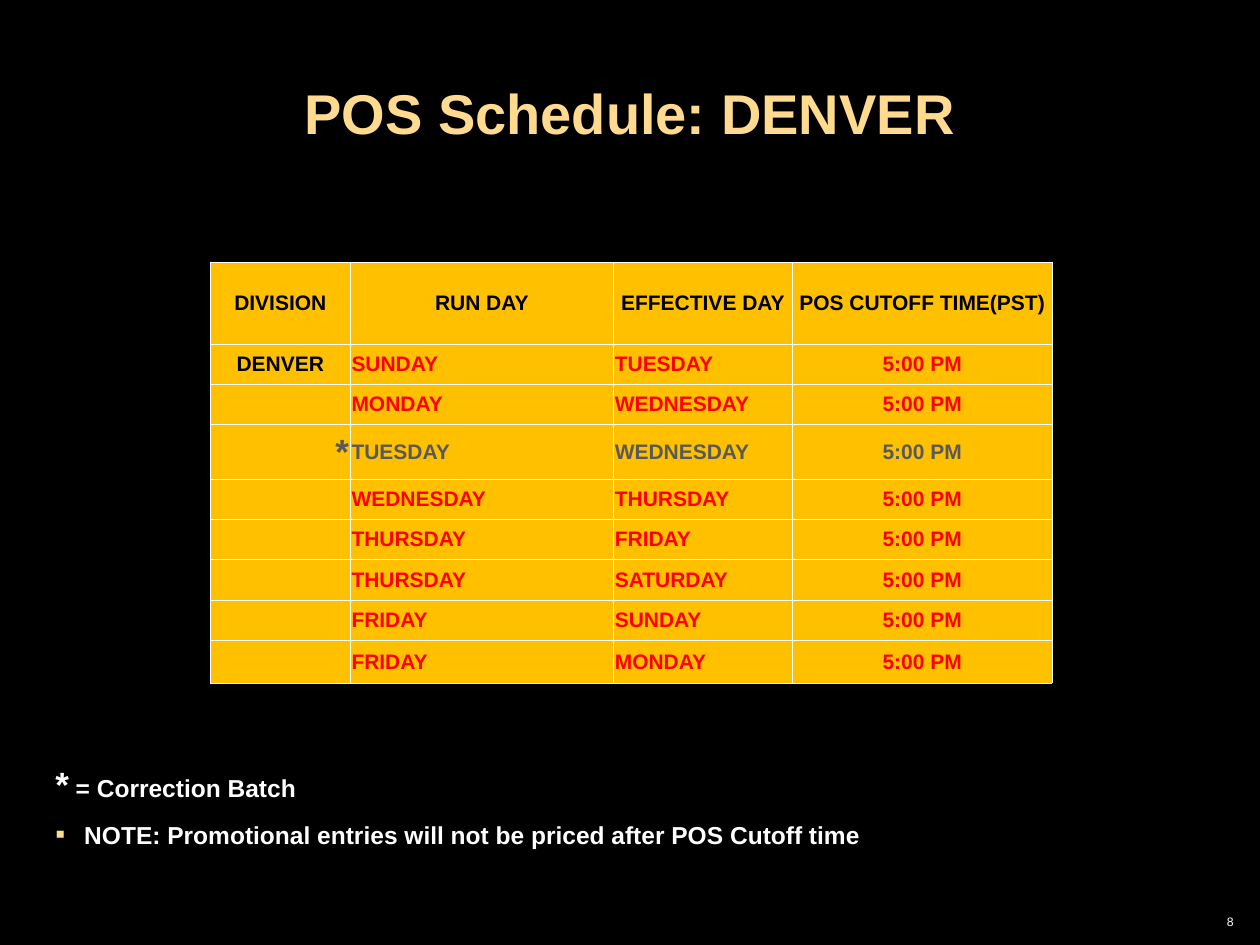
from pptx import Presentation
from pptx.dml.color import RGBColor
from pptx.enum.text import MSO_ANCHOR, PP_ALIGN
from pptx.oxml.ns import qn
from pptx.util import Inches, Pt
from lxml.etree import SubElement

COLORS = {
    "back": "000000", "title": "FFDA8F", "fill": "FFC000", "head": "000000",
    "day": "FF0000", "correction": "595959", "white": "FFFFFF",
}
TITLE = "POS Schedule: DENVER"
HEADERS = ["DIVISION", "RUN DAY", "EFFECTIVE DAY", "POS CUTOFF TIME(PST)"]
DIVISION, CUTOFF, MARK = "DENVER", "5:00 PM", "*"
DAYS = [
    ("SUNDAY", "TUESDAY"), ("MONDAY", "WEDNESDAY"), ("TUESDAY", "WEDNESDAY"),
    ("WEDNESDAY", "THURSDAY"), ("THURSDAY", "FRIDAY"), ("THURSDAY", "SATURDAY"),
    ("FRIDAY", "SUNDAY"), ("FRIDAY", "MONDAY"),
]
CORRECTION_ROW = 3
LEGEND = " = Correction Batch"
NOTE = "NOTE: Promotional entries will not be priced after POS Cutoff time"
PAGE = "8"
COL_WIDTHS = [1.11, 2.09, 1.42, 2.06]
ROW_HEIGHTS = [0.65, 0.32, 0.32, 0.34, 0.32, 0.32, 0.32, 0.32, 0.34]


def rgb(name):
    return RGBColor.from_string(COLORS[name])


def add_run(p, text, size, color, bold=True):
    r = p.add_run()
    r.text = text
    r.font.name = "Arial"
    r.font.size = Pt(size)
    r.font.bold = bold
    r.font.color.rgb = rgb(color)


def add_box(s, left, top, width, height, anchor=MSO_ANCHOR.TOP):
    tf = s.shapes.add_textbox(*map(Inches, (left, top, width, height))).text_frame
    tf.word_wrap = True
    tf.vertical_anchor = anchor
    return tf


def add_bullet(p, char, color):
    pPr = p._p.get_or_add_pPr()
    pPr.set("marL", str(Inches(0.23)))
    pPr.set("indent", str(-Inches(0.23)))
    clr = SubElement(pPr, qn("a:buClr"))
    SubElement(clr, qn("a:srgbClr"), val=COLORS[color])
    SubElement(pPr, qn("a:buSzPct"), val="115000")
    SubElement(pPr, qn("a:buFont"), typeface="Arial")
    SubElement(pPr, qn("a:buChar"), char=char)


def style_cell(cell):
    cell.margin_left = cell.margin_right = Inches(0.01)
    cell.vertical_anchor = MSO_ANCHOR.MIDDLE
    tcPr = cell._tc.get_or_add_tcPr()
    for side in ("a:lnL", "a:lnR", "a:lnT", "a:lnB"):
        ln = SubElement(tcPr, qn(side), w=str(Pt(0.45)))
        SubElement(SubElement(ln, qn("a:solidFill")), qn("a:srgbClr"), val=COLORS["white"])
    cell.fill.solid()
    cell.fill.fore_color.rgb = rgb("fill")


def fill_cell(cell, i, j, text):
    style_cell(cell)
    p = cell.text_frame.paragraphs[0]
    if not text:
        SubElement(p._p, qn("a:endParaRPr"), sz="1200")
        return
    if text == MARK:
        p.alignment = PP_ALIGN.RIGHT
        add_run(p, text, 20, "correction")
        return
    p.alignment = PP_ALIGN.LEFT if i and j in (1, 2) else PP_ALIGN.CENTER
    if i == 0 or j == 0:
        color = "head"
    else:
        color = "correction" if i == CORRECTION_ROW else "day"
    add_run(p, text, 12, color)


def add_schedule(s):
    labels = {1: DIVISION, CORRECTION_ROW: MARK}
    rows = [HEADERS] + [
        [labels.get(i, ""), run_day, effective, CUTOFF]
        for i, (run_day, effective) in enumerate(DAYS, 1)
    ]
    size = (1.67, 2.08, sum(COL_WIDTHS), sum(ROW_HEIGHTS))
    table = s.shapes.add_table(len(rows), len(HEADERS), *map(Inches, size)).table
    table.first_row = table.horz_banding = False
    for col, width in zip(table.columns, COL_WIDTHS):
        col.width = Inches(width)
    for row, height in zip(table.rows, ROW_HEIGHTS):
        row.height = Inches(height)
    for i, row in enumerate(rows):
        for j, text in enumerate(row):
            fill_cell(table.cell(i, j), i, j, text)


def main():
    prs = Presentation()
    prs.slide_width, prs.slide_height = Inches(10), Inches(7.5)
    s = prs.slides.add_slide(prs.slide_layouts[6])
    s.background.fill.solid()
    s.background.fill.fore_color.rgb = rgb("back")

    p = add_box(s, 0.13, 0.63, 9.74, 0.58, MSO_ANCHOR.BOTTOM).paragraphs[0]
    p.alignment = PP_ALIGN.CENTER
    p.line_spacing = 0.9
    add_run(p, TITLE, 32, "title")

    add_schedule(s)

    tf = add_box(s, 0.34, 6, 9.31, 0.83)
    p = tf.paragraphs[0]
    add_run(p, MARK, 20, "white")
    add_run(p, LEGEND, 14, "white")
    p = tf.add_paragraph()
    add_bullet(p, "▪", "title")
    p.space_before = Pt(8.8)
    add_run(p, NOTE, 14, "white")

    p = add_box(s, 7.81, 7.21, 2.08, 0.29).paragraphs[0]
    p.alignment = PP_ALIGN.RIGHT
    add_run(p, PAGE, 7, "white", bold=False)

    prs.save("out.pptx")


if __name__ == "__main__":
    main()
